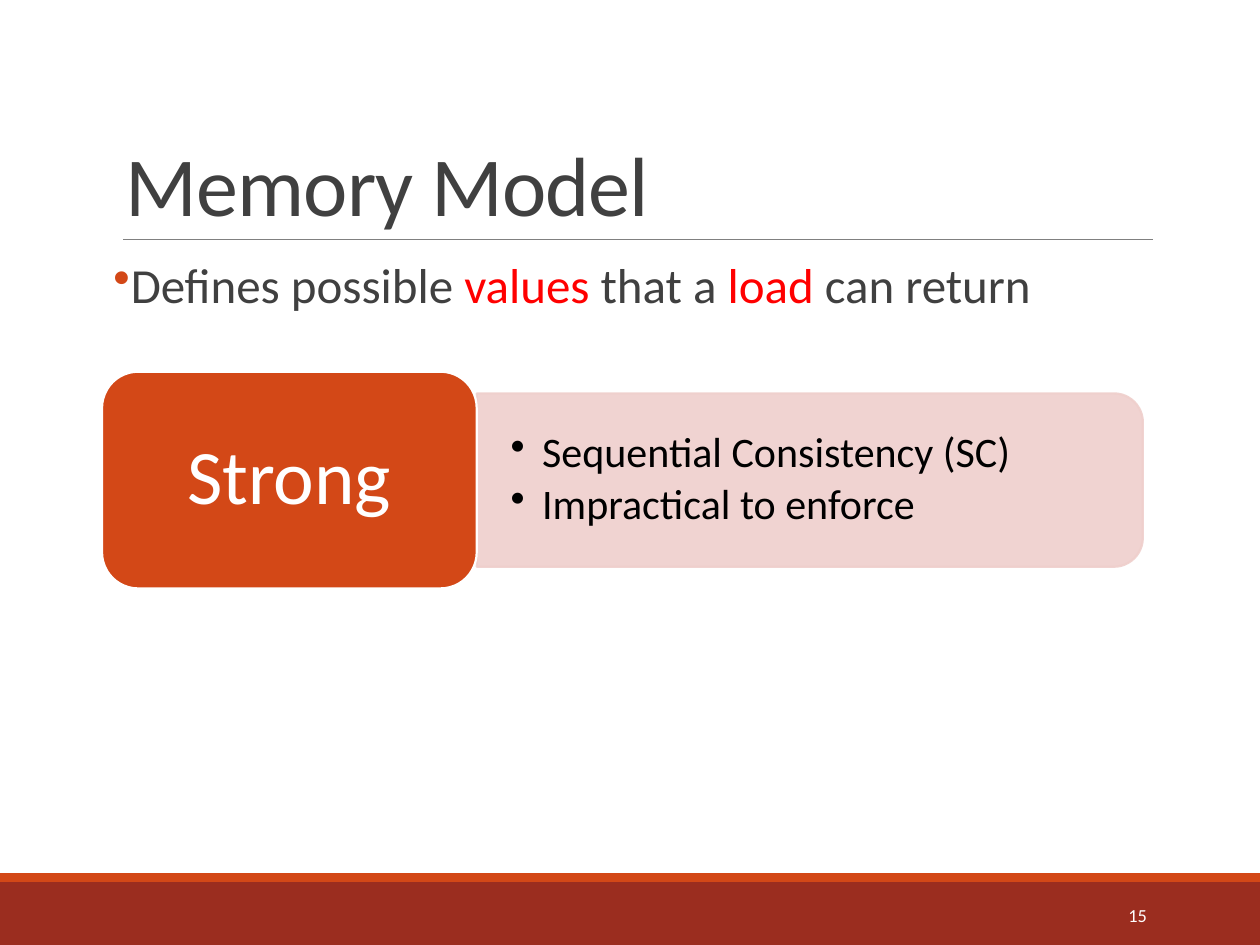
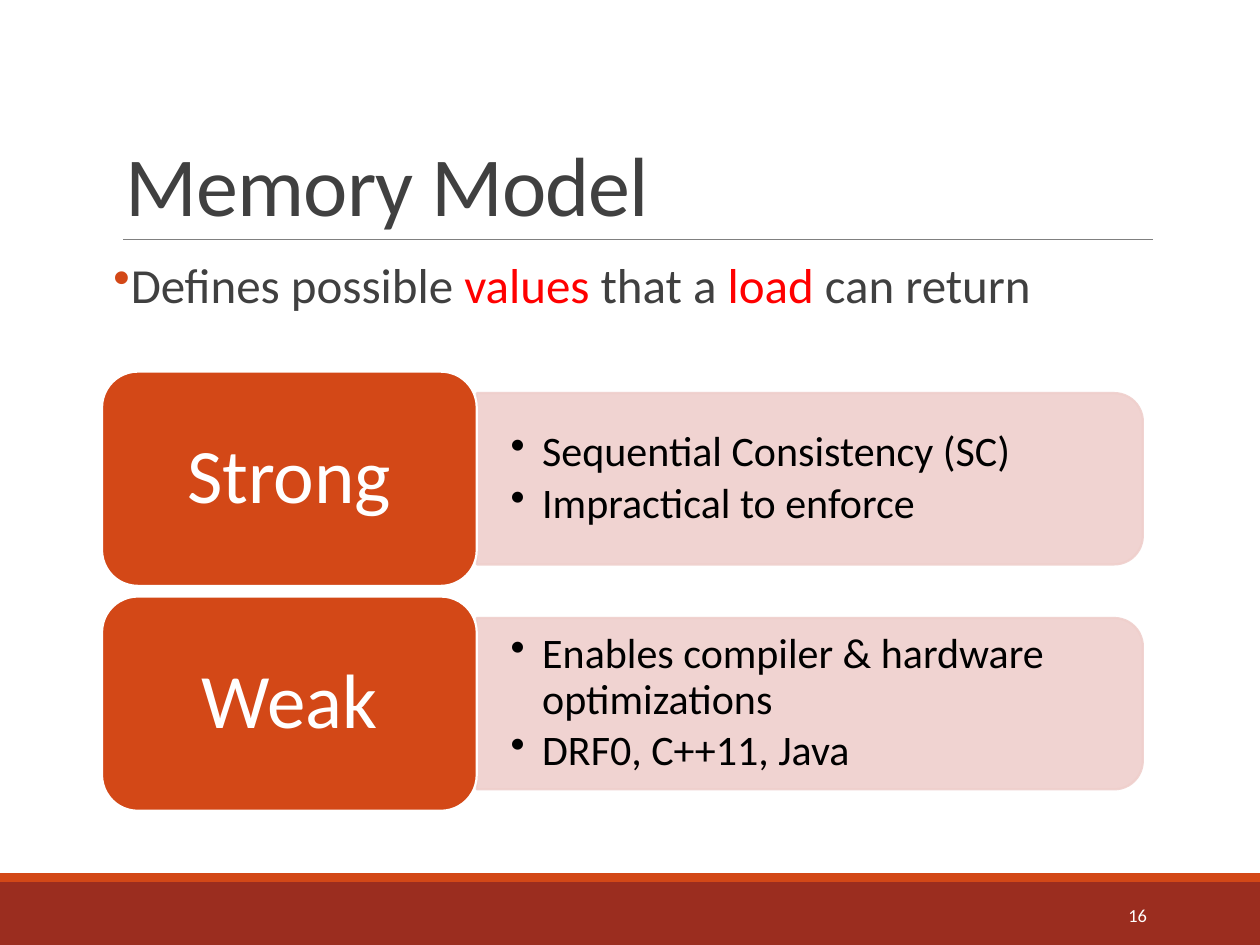
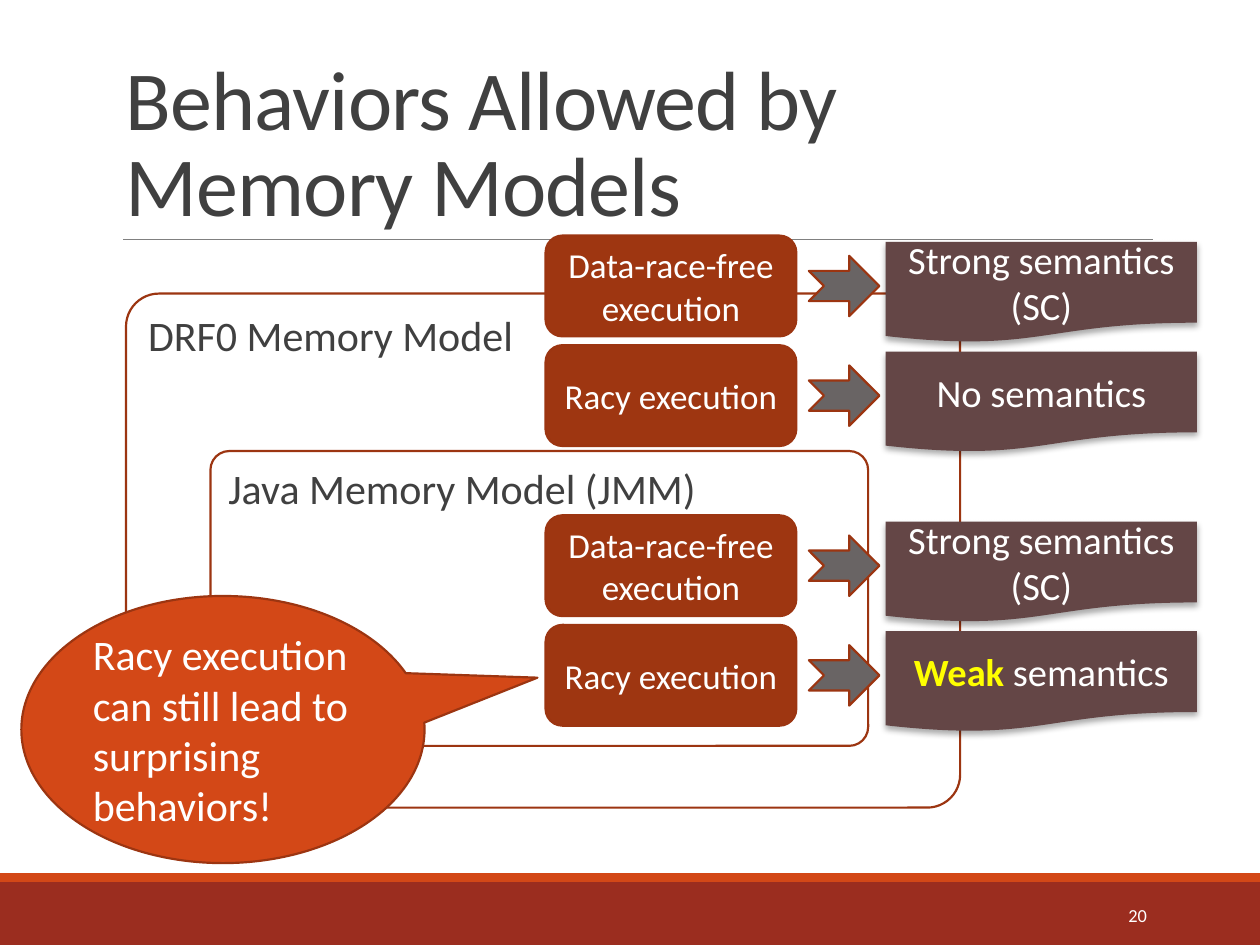
import dataclasses

import lxml.etree
import pptx
import pptx.dml.color
import pptx.enum.shapes
import pptx.enum.text
import pptx.oxml.ns
import pptx.util

Inches = pptx.util.Inches
Pt = pptx.util.Pt
SHAPE = pptx.enum.shapes.MSO_SHAPE
ALIGN = pptx.enum.text.PP_ALIGN
ANCHOR = pptx.enum.text.MSO_ANCHOR
qn = pptx.oxml.ns.qn


@dataclasses.dataclass(frozen=True)
class Theme:
    font: str = "Calibri"
    # Colours
    ink: str = "404040"
    black: str = "000000"
    white: str = "FFFFFF"
    accent: str = "D34817"
    band: str = "9B2D1F"
    rule: str = "808080"
    keyword: str = "FF0000"
    emphasis: str = "FFFF00"
    pale: str = "EFCFCC"
    outline: str = "9C3511"
    execution: str = "9E3611"
    arrow: str = "696464"
    semantics: str = "644646"
    # Type sizes in points
    title: float = 48
    body: float = 28
    category: float = 44
    detail: float = 24
    semantics_size: float = 22
    execution_size: float = 20
    number: float = 10.5
    # Line widths in points
    hairline: float = 0.5
    border: float = 1.25


THEME = Theme()


def rgb(value):
    return pptx.dml.color.RGBColor.from_string(value)


def sub(parent, tag, **attributes):
    return lxml.etree.SubElement(parent, qn(tag), attributes)


def add_shape(slide, kind, box, fill=None, line=None):
    shape = slide.shapes.add_shape(kind, *map(Inches, box))
    shape.shadow.inherit = False
    if fill:
        shape.fill.solid()
        shape.fill.fore_color.rgb = rgb(fill)
    else:
        shape.fill.background()
    if line:
        shape.line.color.rgb = rgb(line)
        shape.line.width = Pt(THEME.border)
    else:
        shape.line.fill.background()
    return shape


def write(shape, paragraphs, size, color, align=ALIGN.LEFT, anchor=ANCHOR.TOP,
          insets=(0.1, 0.05), spacing=None, after=0):
    """Fill a shape with paragraphs; each is a string or a list of (text, colour, bold)."""
    frame = shape.text_frame
    frame.word_wrap = True
    frame.vertical_anchor = anchor
    frame.margin_left = frame.margin_right = Inches(insets[0])
    frame.margin_top = frame.margin_bottom = Inches(insets[1])
    for index, content in enumerate(paragraphs):
        paragraph = frame.add_paragraph() if index else frame.paragraphs[0]
        paragraph.alignment = align
        paragraph.space_after = Pt(after)
        if spacing:
            paragraph.line_spacing = spacing
        paragraph.font.name = THEME.font
        paragraph.font.size = Pt(size)
        paragraph.font.color.rgb = rgb(color)
        runs = [(content, None, None)] if isinstance(content, str) else content
        for text, run_color, bold in runs:
            run = paragraph.add_run()
            run.text = text
            if run_color:
                run.font.color.rgb = rgb(run_color)
            if bold:
                run.font.bold = True
    return frame.paragraphs


def add_text(slide, box, *args, **options):
    return write(slide.shapes.add_textbox(*map(Inches, box)), *args, **options)


def add_bullet(paragraph, indent, color=None):
    properties = paragraph._p.get_or_add_pPr()
    properties.set("marL", str(Inches(indent)))
    properties.set("indent", str(-Inches(indent)))
    bullet = []
    if color:
        bullet_color = lxml.etree.Element(qn("a:buClr"))
        sub(bullet_color, "a:srgbClr", val=color)
        bullet.append(bullet_color)
    bullet.append(lxml.etree.Element(qn("a:buChar"), char="•"))
    # Bullets precede the default run properties
    defaults = properties.find(qn("a:defRPr"))
    for element in bullet:
        defaults.addprevious(element)


def add_soft_shadow(shape):
    effects = shape._element.spPr.find(qn("a:effectLst"))
    shadow = sub(effects, "a:outerShdw", blurRad=str(Pt(3.5)), dist=str(Pt(2.2)),
                 dir="5400000", rotWithShape="0")
    sub(sub(shadow, "a:srgbClr", val=THEME.black), "a:alpha", val="32000")


def add_base(deck, title, number):
    """Slide with bands, rule, title and slide number."""
    slide = deck.slides.add_slide(deck.slide_layouts[6])
    add_shape(slide, SHAPE.RECTANGLE, (0, 7, 10, 0.5), THEME.band)
    add_shape(slide, SHAPE.RECTANGLE, (0, 6.93, 10, 0.07), THEME.accent)

    rule = slide.shapes.add_connector(
        pptx.enum.shapes.MSO_CONNECTOR.STRAIGHT,
        Inches(0.98), Inches(1.9), Inches(9.15), Inches(1.9))
    rule.line.color.rgb = rgb(THEME.rule)
    rule.line.width = Pt(THEME.hairline)
    sub(rule._element.spPr, "a:effectLst")

    heading = add_text(slide, (0.9, 0.31, 8.25, 1.59), [title], THEME.title, THEME.ink,
                       anchor=ANCHOR.BOTTOM, spacing=0.85)[0]
    heading.runs[0]._r.get_or_add_rPr().set("spc", "-50")
    add_text(slide, (8.12, 7.06, 1.08, 0.4), [str(number)], THEME.number, THEME.white,
             align=ALIGN.RIGHT, anchor=ANCHOR.MIDDLE)
    return slide


def add_category(slide, box, category, details):
    """Category block with a pale bar of details to its right."""
    left, top, width, height = box
    block_width = 0.36 * width
    bar_width, bar_height = width - block_width, 0.8 * height
    bar_left, bar_top = left + block_width, top + (height - bar_height) / 2

    # The bar is an upright shape turned a quarter about its centre
    bar = add_shape(slide, SHAPE.ROUND_2_SAME_RECTANGLE,
                    (bar_left + (bar_width - bar_height) / 2,
                     bar_top + (bar_height - bar_width) / 2, bar_height, bar_width),
                    THEME.pale, THEME.pale)
    bar.rotation = 90
    for color in bar._element.spPr.iter(qn("a:srgbClr")):
        sub(color, "a:alpha", val="90000")

    lines = add_text(slide, (bar_left, bar_top, bar_width - 0.07, bar_height), details,
                     THEME.detail, THEME.black, anchor=ANCHOR.MIDDLE,
                     insets=(0.27, 0.14), spacing=0.9, after=3.6)
    for line in lines:
        add_bullet(line, 0.25)

    block = add_shape(slide, SHAPE.ROUNDED_RECTANGLE, (left, top, block_width, height),
                      THEME.accent, THEME.white)
    write(block, [category], THEME.category, THEME.white, align=ALIGN.CENTER,
          anchor=ANCHOR.MIDDLE, insets=(0.18, 0.09), spacing=0.9, after=15.4)


def add_model_slide(deck, number, row_height, categories):
    slide = add_base(deck, "Memory Model", number)
    definition = [("Defines possible ", None, None), ("values", THEME.keyword, None),
                  (" that a ", None, None), ("load", THEME.keyword, None),
                  (" can return", None, None)]
    paragraph = add_text(slide, (0.9, 2.02, 8.25, 4.4), [definition], THEME.body, THEME.ink,
                         insets=(0, 0.05), spacing=0.9, after=2)[0]
    paragraph.space_before = Pt(12)
    add_bullet(paragraph, 0.1, THEME.accent)
    for row, (category, details) in enumerate(categories):
        add_category(slide, (0.81, 2.95 + row * 1.05 * row_height, 8.26, row_height),
                     category, details)


def add_model_frame(slide, box, name):
    frame = add_shape(slide, SHAPE.ROUNDED_RECTANGLE, box, line=THEME.outline)
    frame.adjustments[0] = 0.064
    write(frame, [name], THEME.detail, THEME.ink)


def add_outcome(slide, left, top, execution, semantics):
    """Execution, arrow and the semantics it is given."""
    centred = {"align": ALIGN.CENTER, "anchor": ANCHOR.MIDDLE}
    cause = add_shape(slide, SHAPE.ROUNDED_RECTANGLE, (left, top, 1.99, 0.8),
                      THEME.execution, THEME.outline)
    write(cause, [execution], THEME.execution_size, THEME.white, **centred)
    add_shape(slide, SHAPE.NOTCHED_RIGHT_ARROW, (left + 2.09, top + 0.16, 0.56, 0.48),
              THEME.arrow, THEME.outline)
    result = add_shape(slide, SHAPE.FLOWCHART_DOCUMENT, (left + 2.7, top + 0.05, 2.47, 0.8),
                       THEME.semantics)
    add_soft_shadow(result)
    write(result, [semantics], THEME.semantics_size, THEME.white, **centred)


def add_behaviors_slide(deck, number):
    slide = add_base(deck, "Behaviors Allowed by Memory Models", number)
    add_model_frame(slide, (1, 2.33, 6.62, 4.08), "DRF0 Memory Model")
    add_model_frame(slide, (1.67, 3.58, 5.22, 2.34), "Java Memory Model (JMM)")

    # One pair of outcomes for each model
    weak = [("Weak ", THEME.emphasis, True), ("semantics", None, None)]
    for top, racy_semantics in ((1.87, "No semantics"), (4.09, weak)):
        add_outcome(slide, 4.33, top, "Data-race-free execution", "Strong semantics (SC)")
        add_outcome(slide, 4.33, top + 0.87, "Racy execution", racy_semantics)

    # Callout pointing at the last racy execution
    callout = add_shape(slide, SHAPE.OVAL_CALLOUT, (0.17, 4.73, 3.2, 2.12),
                        THEME.accent, THEME.outline)
    callout.adjustments[0] = 0.78
    callout.adjustments[1] = -0.194
    write(callout, ["Racy execution can still lead to surprising behaviors!"],
          THEME.detail, THEME.white, anchor=ANCHOR.MIDDLE)


def main():
    deck = pptx.Presentation()
    deck.slide_width, deck.slide_height = Inches(10), Inches(7.5)
    strong = ("Strong", ["Sequential Consistency (SC)", "Impractical to enforce"])
    weak = ("Weak", ["Enables compiler & hardware optimizations", "DRF0, C++11, Java"])
    add_model_slide(deck, 15, 1.72, [strong])
    add_model_slide(deck, 16, 1.7, [strong, weak])
    add_behaviors_slide(deck, 20)
    deck.save("out.pptx")


main()
